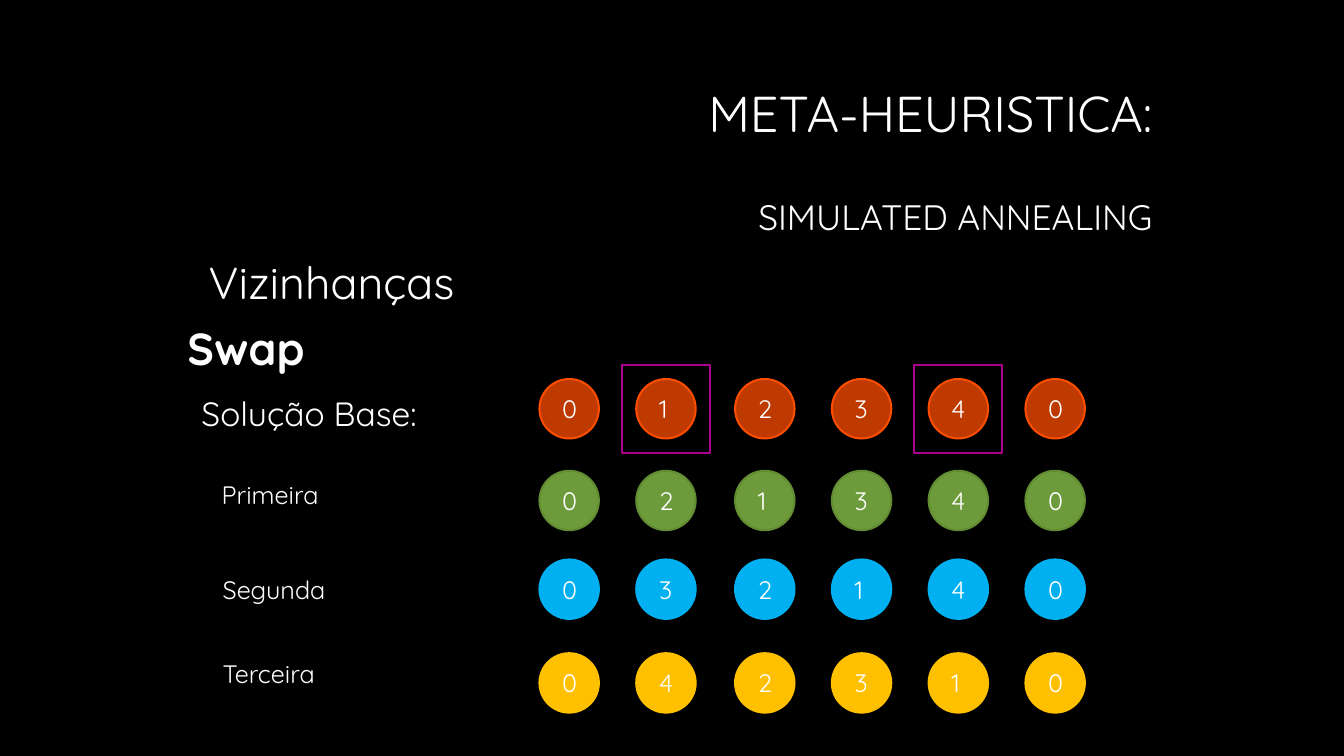
from pptx import Presentation, util as u
from pptx.dml.color import RGBColor
from pptx.enum import shapes, text
from pptx.oxml.ns import qn
from lxml import etree

FONT = "Quicksand"
BLACK = RGBColor(0x00, 0x00, 0x00)
WHITE = RGBColor(0xFF, 0xFF, 0xFF)
ORANGE = RGBColor(0xFF, 0x4E, 0x00)
GREEN = RGBColor(0x92, 0xD0, 0x50)
DARK_GREEN = RGBColor(0x61, 0x8C, 0x32)
BLUE = RGBColor(0x00, 0xB0, 0xF0)
YELLOW = RGBColor(0xFF, 0xC0, 0x00)
PURPLE = RGBColor(0xAB, 0x00, 0x8B)

CIRCLE = 0.59
FRAME = 0.87
COLUMNS = [5.35, 6.31, 7.29, 8.25, 9.21, 10.17]
SWAPPED = [1, 4]

# Row top, visited nodes, fill, line, opacity in percent
ROUTES = [
    (3.76, "012340", ORANGE, ORANGE, 75),
    (4.67, "021340", GREEN, DARK_GREEN, 75),
    (5.55, "032140", BLUE, BLUE, 100),
    (6.48, "042310", YELLOW, YELLOW, 100),
]

# Left, top, width, height, wording, size, bold
LABELS = [
    (1.76, 3.13, 3.26, 0.64, "Swap", 32, True),
    (1.9, 3.85, 2.74, 0.5, "Solução Base:", 24, False),
    (2.1, 4.71, 2.64, 0.4, "Primeira", 18, False),
    (2.11, 5.65, 1.32, 0.4, "Segunda", 18, False),
    (2.11, 6.48, 1.17, 0.4, "Terceira", 18, False),
]


def inches(*lengths):
    return [u.Inches(length) for length in lengths]


def add_span(para, wording, size, bold=False):
    span = para.add_run()
    span.text = wording
    span.font.name = FONT
    span.font.size = u.Pt(size)
    span.font.bold = bold
    span.font.color.rgb = WHITE


def place(box, left, top, width, height):
    box.left, box.top, box.width, box.height = inches(left, top, width, height)


def fill_title(title):
    place(title, 2.11, 0.92, 9.42, 1.41)
    frame = title.text_frame
    frame.auto_size = text.MSO_AUTO_SIZE.NONE
    frame.vertical_anchor = text.MSO_ANCHOR.MIDDLE
    heading, subheading = frame.paragraphs[0], frame.add_paragraph()
    for para in (heading, subheading):
        para.alignment = text.PP_ALIGN.RIGHT
        para.line_spacing = 0.9
    subheading.space_before = u.Pt(40.5)
    add_span(heading, "META-HEURISTICA:", 36)
    add_span(subheading, "SIMULATED ANNEALING", 25.2)


def fill_body(body):
    place(body, 0.97, 2.54, 7.73, 0.59)
    body.text_frame.auto_size = text.MSO_AUTO_SIZE.NONE
    para = body.text_frame.paragraphs[0]
    para.line_spacing = 0.9
    para.space_before = u.Pt(10)
    # Indent without a bullet
    properties = para._p.get_or_add_pPr()
    properties.set("marL", str(u.Inches(1)))
    properties.set("indent", "0")
    etree.SubElement(properties, qn("a:buNone"))
    add_span(para, "Vizinhanças", 32)


def add_label(page, left, top, width, height, wording, size, bold):
    box = page.shapes.add_textbox(*inches(left, top, width, height))
    box.text_frame.word_wrap = True
    box.text_frame.auto_size = text.MSO_AUTO_SIZE.SHAPE_TO_FIT_TEXT
    add_span(box.text_frame.paragraphs[0], wording, size, bold)


def add_outlined(page, kind, left, top, side, line):
    shape = page.shapes.add_shape(kind, *inches(left, top, side, side))
    shape.shadow.inherit = False
    shape.line.color.rgb = line
    shape.line.width = u.Pt(1.42)
    return shape


def add_node(page, left, top, number, fill, line, opacity):
    node = add_outlined(page, shapes.MSO_SHAPE.OVAL, left, top, CIRCLE, line)
    node.fill.solid()
    node.fill.fore_color.rgb = fill
    if opacity < 100:
        color = node.fill._xPr.find(qn("a:solidFill"))[0]
        etree.SubElement(color, qn("a:alpha")).set("val", str(opacity * 1000))
    frame = node.text_frame
    frame.word_wrap = False
    frame.vertical_anchor = text.MSO_ANCHOR.MIDDLE
    frame.margin_left = u.Inches(0.14)
    frame.margin_right = frame.margin_top = frame.margin_bottom = 0
    frame.word_wrap = True
    para = frame.paragraphs[0]
    para.alignment = text.PP_ALIGN.LEFT
    add_span(para, number, 18)


def add_route(page, top, numbers, fill, line, opacity):
    for left, number in zip(COLUMNS, numbers):
        add_node(page, left, top, number, fill, line, opacity)


def add_swap_frame(page, column):
    margin = (FRAME - CIRCLE) / 2
    left, top = COLUMNS[column] - margin, ROUTES[0][0] - margin
    frame = add_outlined(page, shapes.MSO_SHAPE.RECTANGLE, left, top, FRAME, PURPLE)
    frame.fill.background()


def main():
    deck = Presentation()
    deck.slide_width, deck.slide_height = inches(13.33, 7.5)
    page = deck.slides.add_slide(deck.slide_layouts[1])
    page.background.fill.solid()
    page.background.fill.fore_color.rgb = BLACK

    # Headings
    fill_title(page.shapes.title)
    fill_body(page.placeholders[1])

    # Row labels
    for label in LABELS:
        add_label(page, *label)

    # Routes and the swapped nodes
    for route in ROUTES:
        add_route(page, *route)
    for column in SWAPPED:
        add_swap_frame(page, column)

    deck.save("out.pptx")


main()
